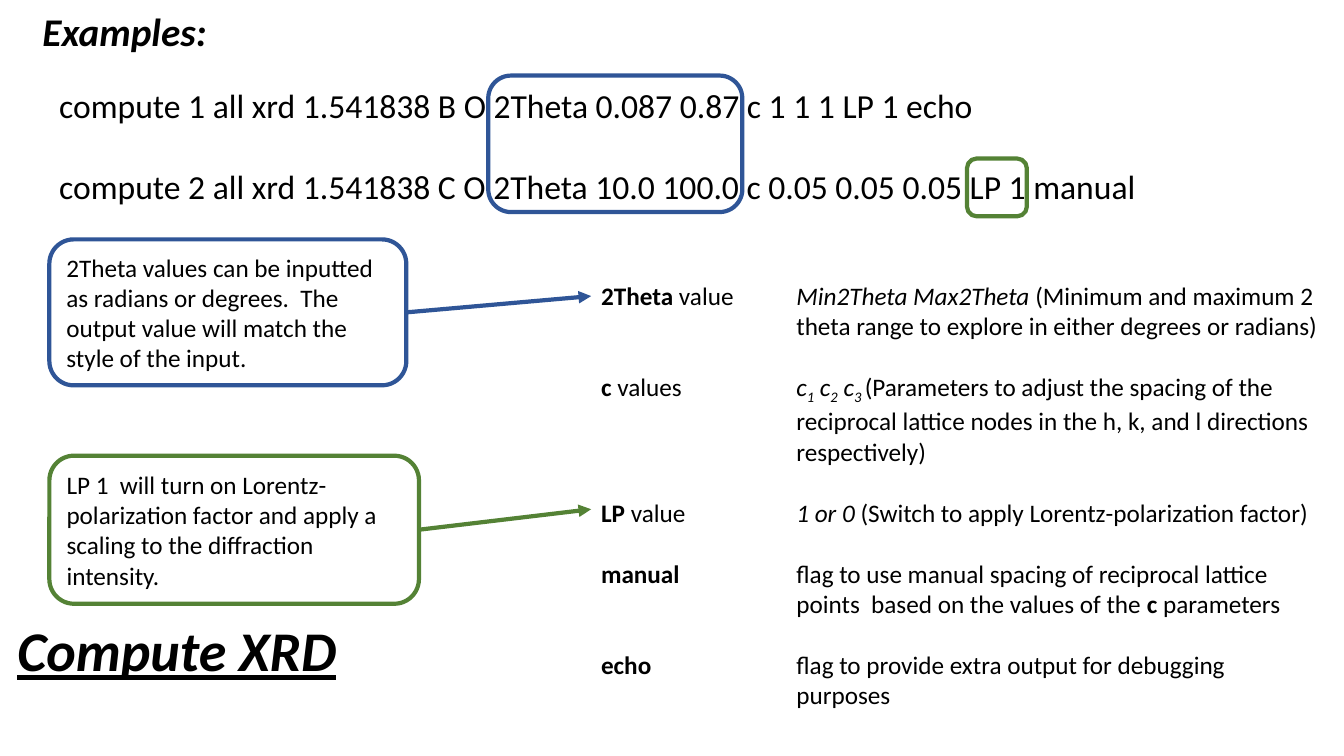
from lxml.etree import SubElement
from pptx import Presentation
from pptx.dml.color import RGBColor
from pptx.enum.shapes import MSO_CONNECTOR, MSO_SHAPE
from pptx.enum.text import MSO_ANCHOR, MSO_AUTO_SIZE, PP_ALIGN
from pptx.oxml.ns import qn
from pptx.util import Pt

EMU_PER_PX = 9525
FONT = "Calibri"
COLORS = {"text": "000000", "theta": "2F5597", "polarization": "548235"}
RIGHT_SIDE = 3
VALUE_INDENT = 186
VALUE_TAB = 192

COMMANDS = [
    "compute 1 all xrd 1.541838 B O 2Theta 0.087 0.87 c 1 1 1 LP 1 echo",
    "compute 2 all xrd 1.541838 C O 2Theta 10.0 100.0 c 0.05 0.05 0.05 LP 1 manual",
]

KEYWORDS = [
    [("2Theta", "b"), (" value \t", ""), ("Min2Theta Max2Theta", "i"),
     (" (Minimum and maximum 2 theta range to explore in either degrees or radians)", "")],
    [("c", "b"), (" values \t", ""), ("c", "i"), ("1", "is"), (" c", "i"), ("2", "is"),
     (" c", "i"), ("3 ", "is"),
     ("(Parameters to adjust the spacing of the reciprocal lattice nodes in the h, k, "
      "and l directions respectively)", "")],
    [("LP", "b"), (" value \t", ""), ("1 or 0 ", "i"),
     ("(Switch to apply Lorentz-polarization factor)", "")],
    [("manual\t", "b"),
     ("flag to use manual spacing of reciprocal lattice points  based on the values of the ", ""),
     ("c", "b"), (" parameters", "")],
    [("echo\t", "b"), ("flag to provide extra output for debugging purposes", "")],
]

CALLOUTS = [
    ("theta", (47, 228, 340, 139), (563, 282),
     "2Theta values can be inputted as radians or degrees.  "
     "The output value will match the style of the input."),
    ("polarization", (47, 434, 352, 141), (563, 485),
     "LP 1  will turn on Lorentz-polarization factor and apply a scaling "
     "to the diffraction intensity."),
]

HIGHLIGHTS = [("theta", (465, 72, 242, 130)), ("polarization", (921, 151, 57, 55))]


def px(value):
    return value * EMU_PER_PX


def rgb(name):
    return RGBColor.from_string(COLORS[name])


def add_span(para, text, size, style=""):
    span = para.add_run()
    span.text = text
    span.font.name = FONT
    span.font.size = Pt(size)
    span.font.color.rgb = rgb("text")
    span.font.bold = "b" in style
    span.font.italic = "i" in style
    span.font.underline = "u" in style
    if "s" in style:
        span.font._element.set("baseline", "-25000")


def add_paragraphs(frame, paragraphs, size, gap=0):
    for index, spans in enumerate(paragraphs):
        para = frame.paragraphs[0] if index == 0 else frame.add_paragraph()
        para.alignment = PP_ALIGN.LEFT
        if index:
            para.space_before = Pt(gap)
        for text, style in spans:
            add_span(para, text, size, style)


def add_text_box(page, bounds):
    frame = page.shapes.add_textbox(*map(px, bounds)).text_frame
    frame.word_wrap = True
    return frame


def format_title(page, text, bounds):
    title = page.shapes.title
    title.left, title.top, title.width, title.height = map(px, bounds)
    frame = title.text_frame
    frame.auto_size = MSO_AUTO_SIZE.NONE
    frame.vertical_anchor = MSO_ANCHOR.TOP
    add_paragraphs(frame, [[(text, "biu")]], 40)
    frame.paragraphs[0].line_spacing = 0.9


def add_hanging_tab(para):
    properties = para._p.get_or_add_pPr()
    properties.set("marL", str(px(VALUE_INDENT)))
    properties.set("indent", str(px(-VALUE_INDENT)))
    tabs = SubElement(properties, qn("a:tabLst"))
    SubElement(tabs, qn("a:tab"), pos=str(px(VALUE_TAB)), algn="l")


def add_outline(page, color, bounds):
    box = page.shapes.add_shape(MSO_SHAPE.ROUNDED_RECTANGLE, *map(px, bounds))
    box.shadow.inherit = False
    box.fill.background()
    box.line.color.rgb = rgb(color)
    box.line.width = Pt(3)
    return box


def add_arrow(page, color, source, target):
    end_x, end_y = map(px, target)
    arrow = page.shapes.add_connector(MSO_CONNECTOR.STRAIGHT, end_x, end_y, end_x, end_y)
    arrow.begin_connect(source, RIGHT_SIDE)
    arrow.line.color.rgb = rgb(color)
    arrow.line.width = Pt(3)
    SubElement(arrow.line._get_or_add_ln(), qn("a:tailEnd"), type="triangle")
    SubElement(arrow._element.spPr, qn("a:effectLst"))


def add_callout(page, color, bounds, target, text):
    box = add_outline(page, color, bounds)
    frame = box.text_frame
    frame.word_wrap = True
    frame.vertical_anchor = MSO_ANCHOR.MIDDLE
    add_paragraphs(frame, [[(text, "")]], 18)
    add_arrow(page, color, box, target)


def main():
    deck = Presentation()
    deck.slide_width, deck.slide_height = px(1280), px(720)
    page = deck.slides.add_slide(deck.slide_layouts[5])
    format_title(page, "Compute XRD", (7, 589, 538, 117))

    heading = add_text_box(page, (31, 7, 1157, 55))
    add_paragraphs(heading, [[("Examples:", "bi")]], 28)
    heading.paragraphs[0].line_spacing = 0.9

    keywords = add_text_box(page, (563, 262, 705, 446))
    add_paragraphs(keywords, KEYWORDS, 18, 22)
    for para in keywords.paragraphs:
        add_hanging_tab(para)

    commands = add_text_box(page, (47, 76, 1164, 126))
    add_paragraphs(commands, [[(line, "")] for line in COMMANDS], 24, 29)

    for color, bounds in HIGHLIGHTS:
        add_outline(page, color, bounds)
    for callout in CALLOUTS:
        add_callout(page, *callout)
    deck.save("out.pptx")


if __name__ == "__main__":
    main()
